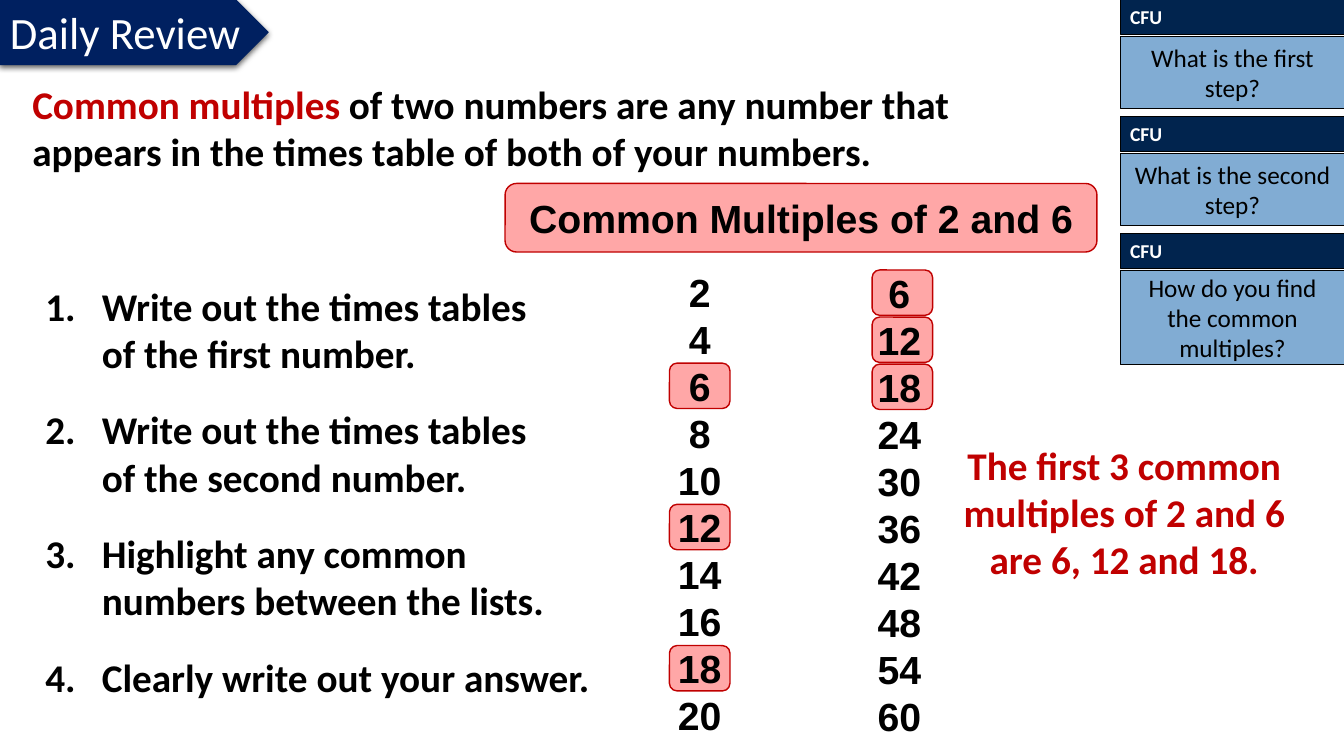
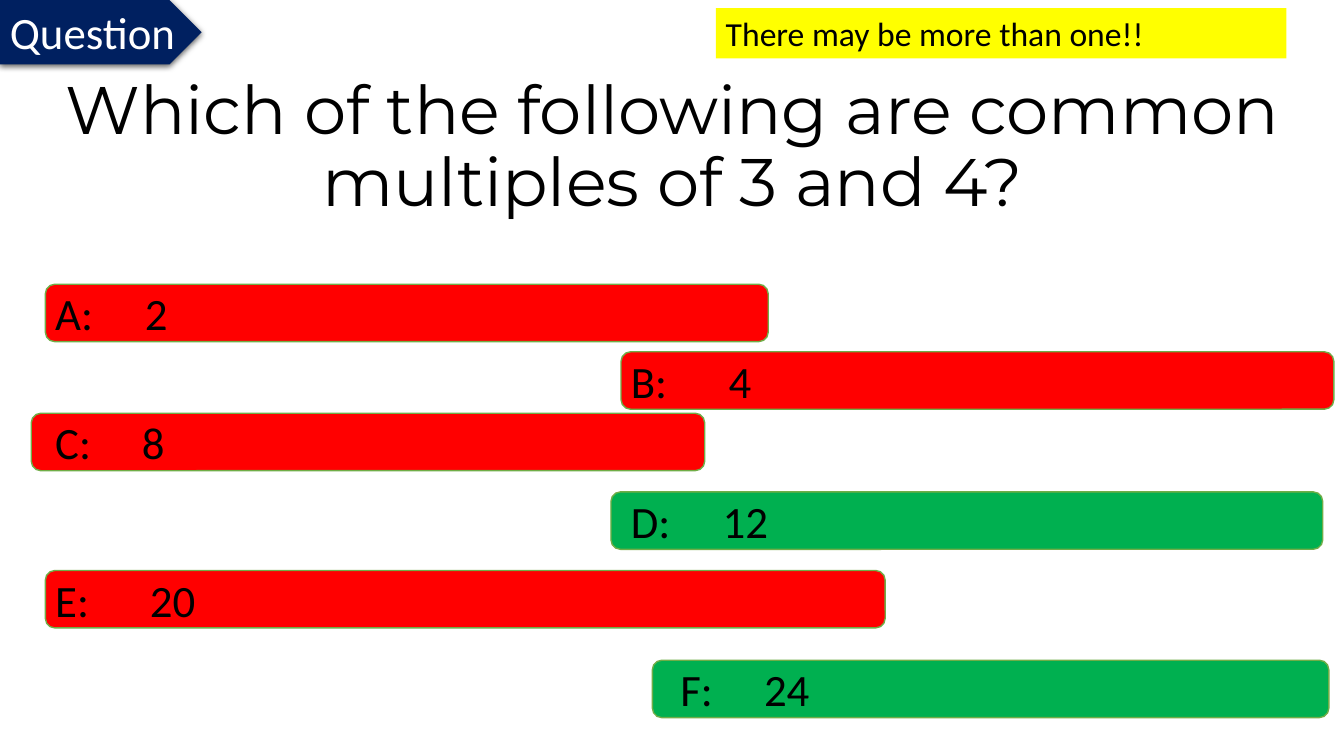
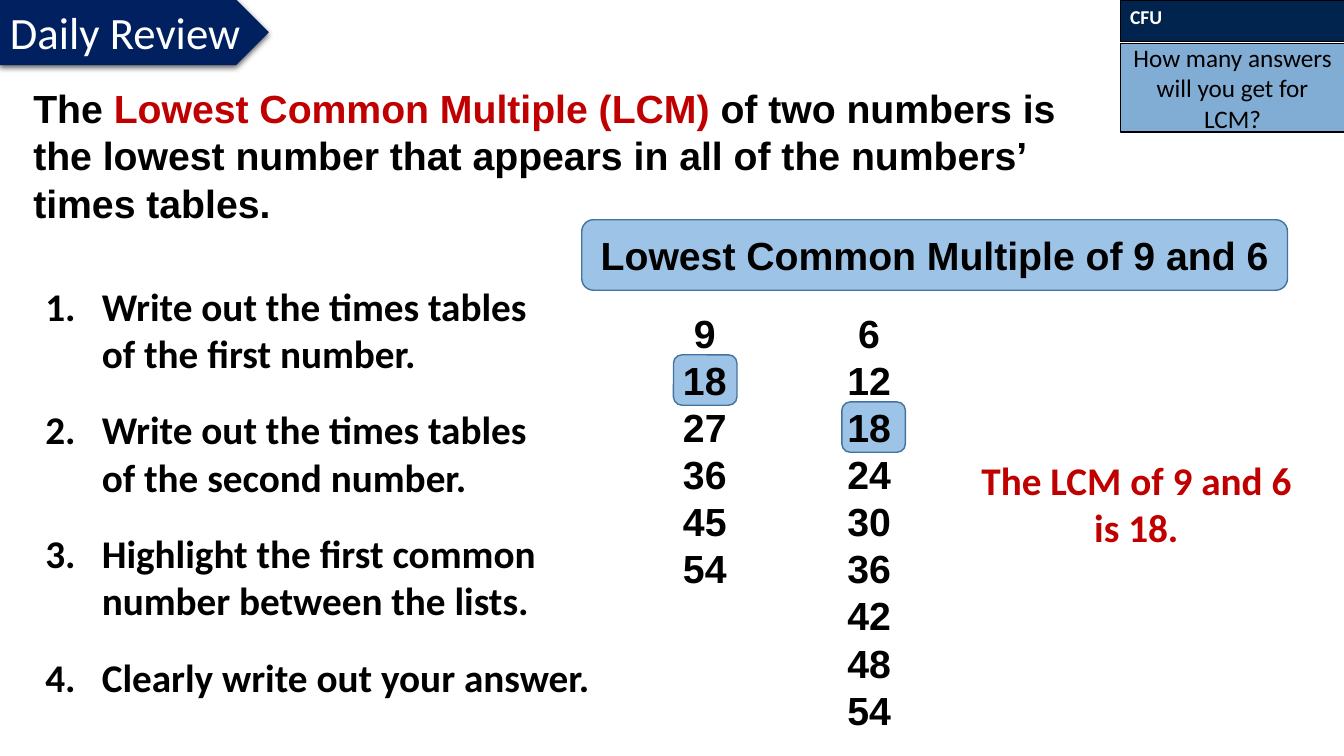
from copy import deepcopy

from lxml import etree
from pptx import Presentation
from pptx.dml.color import RGBColor
from pptx.enum.shapes import MSO_SHAPE
from pptx.enum.text import MSO_ANCHOR, MSO_AUTO_SIZE, PP_ALIGN
from pptx.oxml.ns import qn
from pptx.util import Inches, Pt

RECT, ROUND, TAG = MSO_SHAPE.RECTANGLE, MSO_SHAPE.ROUNDED_RECTANGLE, MSO_SHAPE.PENTAGON
LEFT, CENTER = PP_ALIGN.LEFT, PP_ALIGN.CENTER
TOP, MIDDLE = MSO_ANCHOR.TOP, MSO_ANCHOR.MIDDLE

W, H = 13.33, 7.5
TITLE_CONTENT, TITLE_ONLY = 1, 5
COLORS = {
    "black": "000000", "white": "FFFFFF", "navy": "002060", "card_head": "01244E",
    "card_body": "2E75B6", "accent": "C00000", "pink": "FFA7A7", "sky": "9DC3E6",
    "sky_line": "43739E", "wrong": "FF0000", "right": "00B050", "option_line": "70AD47",
    "yellow": "FFFF00",
}
ROW = 0.467           # height of one line of 28 pt numbers
CARD_X, CARD_W = 11.11, 2.23
CARD_GAP, CARD_SPLIT = 0.08, 0.02

# ---- Content ----
# A "|" in a step marks a line break.
REVIEWS = [
    {
        "heading": [("Common multiples ", "accent"),
                    ("of two numbers are any number that appears in the times table "
                     "of both of your numbers.", "black")],
        "heading_at": (0.22, 0.75, 10.1, 1.04), "heading_font": "Calibri",
        "banner": "Common Multiples of 2 and 6", "banner_at": (5.01, 1.82, 5.87, 0.68),
        "mark": ("pink", "accent", 0.6, 0.45),
        # column left, top, left of its marks, multiples of, how many, marked values
        "columns": [(5.92, 2.61, 6.64, 2, 10, (6, 12, 18)),
                    (7.9, 2.62, 8.65, 6, 10, (6, 12, 18))],
        "find": "Highlight any common|numbers between the lists.",
        "answer": "The first 3 common multiples of 2 and 6 are 6, 12 and 18.",
        "answer_at": (9.2, 4.33, 3.9, 1.51),
        "cards": [("What is the first step?", 0.34, 0.72),
                  ("What is the second step?", 0.34, 0.72),
                  ("How do you find the common multiples?", 0.34, 0.94)],
    },
    {
        "heading": [("The ", "black"), ("Lowest Common Multiple (LCM) ", "accent"),
                    ("of two numbers is the lowest number that appears in all of "
                     "the numbers’ times tables.", "black")],
        "heading_at": (0.23, 0.79, 10.75, 1.51), "heading_font": "Arial",
        "banner": "Lowest Common Multiple of 9 and 6", "banner_at": (5.77, 2.18, 7, 0.7),
        "mark": ("sky", "sky_line", 0.63, 0.5),
        "columns": [(5.97, 3.02, 6.68, 9, 6, (18,)),
                    (7.6, 3.02, 8.35, 6, 9, (18,))],
        "find": "Highlight the first common|number between the lists.",
        "answer": "The LCM of 9 and 6 is 18.",
        "answer_at": (9.48, 4.48, 3.58, 1.04),
        "cards": [("How many answers will you get for LCM?", 0.41, 0.88)],
    },
]
STEPS = ["Write out the times tables|of the first number.",
         "Write out the times tables|of the second number.",
         None, "Clearly write out your answer."]
QUESTION = "Which of the following are common multiples of 3 and 4?"
HINT = "There may be more than one!!"
# letter, value, verdict, left, top, width, text indent, tab stop
OPTIONS = [
    ("A:", "2", "wrong", 0.45, 2.82, 7.17, 0.1, 0.89),
    ("B:", "4", "wrong", 6.16, 3.49, 7.07, 0.1, 0.97),
    ("C:", "8", "wrong", 0.31, 4.1, 6.68, 0.24, 0.86),
    ("D:", "12", "right", 6.06, 4.88, 7.06, 0.2, 0.91),
    ("E:", "20", "wrong", 0.45, 5.66, 8.33, 0.1, 0.94),
    ("F:", "24", "right", 6.47, 6.55, 6.71, 0.28, 0.83),
]


# ---- Helpers ----
def rgb(name):
    return RGBColor.from_string(COLORS[name])


def place(sp, box):
    sp.left, sp.top, sp.width, sp.height = (Inches(v) for v in box)
    return sp


def add_run(p, text, size, color="black", bold=False, font="Calibri"):
    r = p.add_run()
    r.text = text
    r.font.size, r.font.bold, r.font.name = Pt(size), bold, font
    r.font.color.rgb = rgb(color)
    return r


def frame(sp, anchor=TOP, wrap=True):
    tf = sp.text_frame
    tf.auto_size = MSO_AUTO_SIZE.NONE
    tf.word_wrap, tf.vertical_anchor = wrap, anchor
    return tf


def write(sp, runs, size, align=LEFT, anchor=TOP, wrap=True, **style):
    """Fill the first paragraph with (text, colour) runs."""
    p = frame(sp, anchor, wrap).paragraphs[0]
    p.alignment = align
    for text, color in runs:
        add_run(p, text, size, color, **style)
    return p


def add_box(s, kind, box, fill, line=None, width=1):
    sp = s.shapes.add_shape(kind, *(Inches(v) for v in box))
    sp.shadow.inherit = False
    sp.fill.solid()
    sp.fill.fore_color.rgb = rgb(fill)
    if line:
        sp.line.color.rgb, sp.line.width = rgb(line), Pt(width)
    else:
        sp.line.fill.background()
    return sp


def add_text(s, box):
    return s.shapes.add_textbox(*(Inches(v) for v in box))


def add_tag(s, text, width, line=None):
    sp = add_box(s, TAG, (0, 0, width, 0.64), "navy", line, 0.75)
    effects = sp._element.spPr.find(qn("a:effectLst"))
    shadow = etree.SubElement(effects, qn("a:outerShdw"), blurRad=str(Pt(4.5)),
                              dist=str(Pt(1.5)), dir="5400000", rotWithShape="0")
    color = etree.SubElement(shadow, qn("a:srgbClr"), val=COLORS["black"])
    etree.SubElement(color, qn("a:alpha"), val="63000")
    write(sp, [(text, "white")], 32, wrap=False)


def add_cards(s, cards):
    y = 0
    for text, head_h, body_h in cards:
        head = add_box(s, RECT, (CARD_X, y, CARD_W, head_h), "card_head", "black", 0.75)
        write(head, [("CFU", "white")], 14, bold=True)
        y += head_h + CARD_SPLIT
        body = add_box(s, RECT, (CARD_X, y, CARD_W, body_h), "card_body", "black", 0.75)
        color = body._element.spPr.find(qn("a:solidFill"))[0]
        etree.SubElement(color, qn("a:alpha"), val="60000")
        write(body, [(text, "black")], 18, CENTER, MIDDLE)
        y += body_h + CARD_GAP


def add_steps(s, steps):
    tf = frame(place(s.placeholders[1], (0.35, 2.75, 5.85, 4.3)))
    for i, step in enumerate(steps):
        p = tf.add_paragraph() if i else tf.paragraphs[0]
        p.space_before = Pt(21 if i else 0)
        pPr = p._p.get_or_add_pPr()
        pPr.set("marL", str(Inches(0.56)))
        pPr.set("indent", str(-Inches(0.56)))
        etree.SubElement(pPr, qn("a:buFont"), typeface="+mj-lt")
        etree.SubElement(pPr, qn("a:buAutoNum"), type="arabicPeriod")
        for j, part in enumerate(step.split("|")):
            if j:
                p.add_line_break()
            r = add_run(p, part, 28, bold=True)
        for br in p._p.findall(qn("a:br")):
            br.append(deepcopy(r._r.rPr))


def add_column(s, column, mark):
    x, y, mark_x, factor, count, marked = column
    fill, line, w, h = mark
    numbers = [factor * (i + 1) for i in range(count)]
    for value in marked:
        center = y + 0.05 + ROW * (numbers.index(value) + 0.5)
        add_box(s, ROUND, (mark_x, center - h / 2, w, h), fill, line)
    tf = frame(add_text(s, (x, y, 2.04, ROW * count + 0.1)))
    for i, value in enumerate(numbers):
        p = tf.add_paragraph() if i else tf.paragraphs[0]
        p.alignment = CENTER
        add_run(p, str(value), 28, bold=True, font="Arial")


# ---- Slides ----
def review_slide(prs, d):
    s = prs.slides.add_slide(prs.slide_layouts[TITLE_CONTENT])
    write(place(s.shapes.title, d["heading_at"]), d["heading"], 28,
          bold=True, font=d["heading_font"])
    add_steps(s, [step or d["find"] for step in STEPS])
    banner = add_box(s, ROUND, d["banner_at"], *d["mark"][:2])
    write(banner, [(d["banner"], "black")], 28, CENTER, MIDDLE, bold=True, font="Arial")
    for column in d["columns"]:
        add_column(s, column, d["mark"])
    write(add_text(s, d["answer_at"]), [(d["answer"], "accent")], 28, CENTER, bold=True)
    add_cards(s, d["cards"])
    add_tag(s, "Daily Review", 2.66, "navy")


def question_slide(prs):
    s = prs.slides.add_slide(prs.slide_layouts[TITLE_ONLY])
    title = place(s.shapes.title, (0.08, 0.75, 13.18, 1.45))
    p = write(title, [(QUESTION, "black")], 48, CENTER, MIDDLE, font="Montserrat")
    p.line_spacing = 0.9
    add_tag(s, "Question", 2)
    for letter, value, verdict, x, y, w, indent, tab in OPTIONS:
        sp = add_box(s, ROUND, (x, y, w, 0.57), verdict, "option_line")
        tf = sp.text_frame
        tf.margin_left = Inches(indent - 0.03)    # the rounded corner insets the rest
        tf.margin_top = tf.margin_bottom = 0
        tabs = etree.SubElement(tf.paragraphs[0]._p.get_or_add_pPr(), qn("a:tabLst"))
        etree.SubElement(tabs, qn("a:tab"), pos=str(Inches(tab)), algn="l")
        write(sp, [(f"{letter}\t{value}", "black")], 32, anchor=MIDDLE)
    hint = add_box(s, RECT, (7.1, 0.08, 5.66, 0.5), "yellow")
    write(hint, [(HINT, "black")], 24)


def main():
    prs = Presentation()
    prs.slide_width, prs.slide_height = Inches(W), Inches(H)
    review_slide(prs, REVIEWS[0])
    question_slide(prs)
    review_slide(prs, REVIEWS[1])
    prs.save("out.pptx")


if __name__ == "__main__":
    main()
